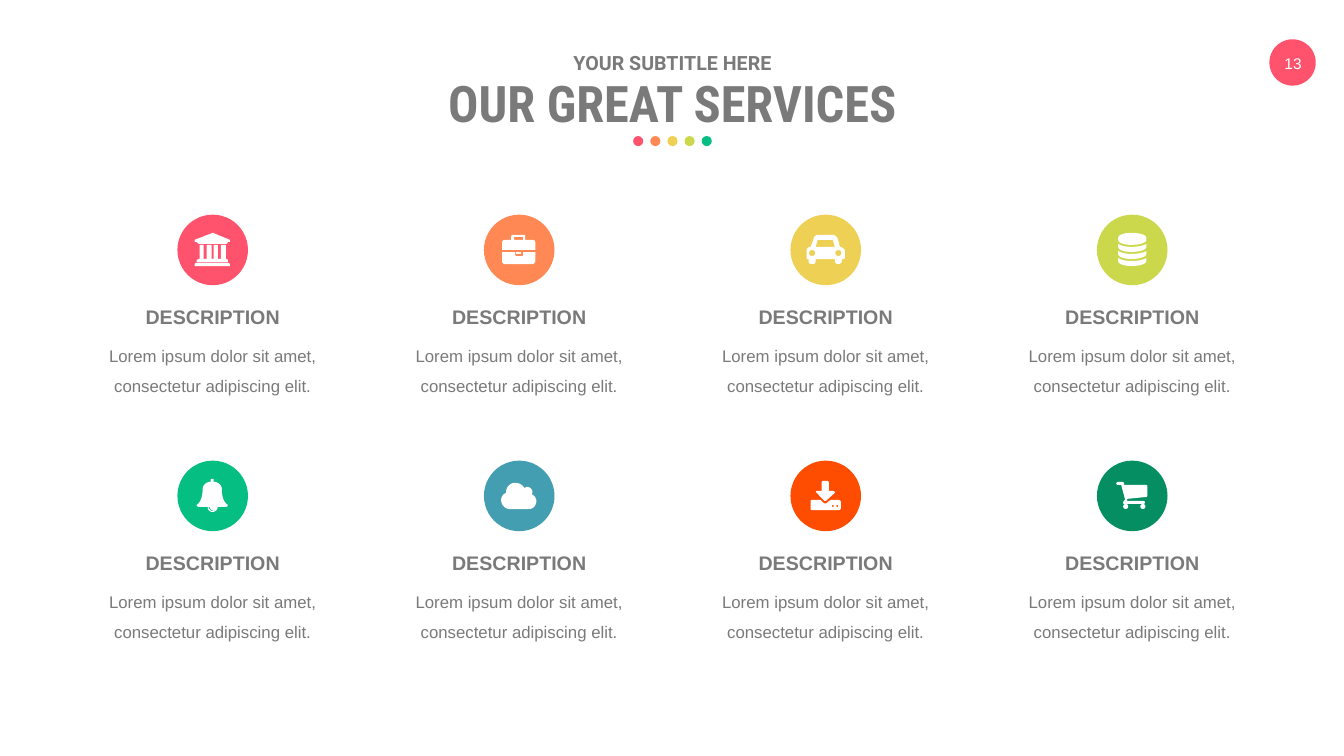
from dataclasses import dataclass
from math import cos, pi, sin

from pptx import Presentation
from pptx.dml.color import RGBColor
from pptx.enum.shapes import MSO_SHAPE
from pptx.enum.text import MSO_ANCHOR, MSO_AUTO_SIZE, PP_ALIGN
from pptx.util import Inches, Pt

WHITE = RGBColor(0xFF, 0xFF, 0xFF)
GRAY = RGBColor(0x7A, 0x7A, 0x7A)
PINK = RGBColor(0xFF, 0x52, 0x6D)
ORANGE = RGBColor(0xFF, 0x88, 0x54)
YELLOW = RGBColor(0xEE, 0xD0, 0x54)
LIME = RGBColor(0xCB, 0xD8, 0x4C)
GREEN = RGBColor(0x05, 0xBE, 0x82)
BLUE = RGBColor(0x43, 0x9E, 0xB1)
RED = RGBColor(0xFE, 0x4D, 0x00)
DARK_GREEN = RGBColor(0x04, 0x8E, 0x61)

HEADING = "DESCRIPTION"
BODY = "Lorem ipsum dolor sit amet, consectetur adipiscing elit."

# An outline is a list of steps: two numbers end a line, six end a Bezier curve
Outline = list[tuple[float, ...]]


@dataclass
class Style:
    size: float
    font: str = "Arial"
    color: RGBColor = GRAY
    bold: bool = False
    spacing: float = 1.0
    anchor: MSO_ANCHOR = MSO_ANCHOR.TOP


@dataclass
class Service:
    color: RGBColor
    icon: list[Outline]


def box(left: float, top: float, right: float, bottom: float) -> Outline:
    return [(left, top), (right, top), (right, bottom), (left, bottom)]


def ring(x: float, y: float, radius: float) -> Outline:
    angles = [2 * pi * step / 24 for step in range(24)]
    return [(x + radius * cos(a), y + radius * sin(a)) for a in angles]


def disk_band(y: float) -> Outline:
    return [(49, y), (49, y + 3), (49, y + 6, 42, y + 8, 34, y + 8),
            (27, y + 8, 21, y + 6, 21, y + 3), (21, y),
            (24, y + 2, 29, y + 3, 34, y + 3), (40, y + 3, 46, y + 2, 49, y)]


# Icons, in hundredths of an inch from the corner of the badge
BANK = [
    [(52, 25), (52, 27), (50, 27), (49, 29), (21, 29), (19, 27), (17, 27), (17, 25), (35, 18)],
    [(52, 49), (52, 51), (17, 51), (17, 49), (18, 48), (51, 48)],
    [(26, 30), (26, 44), (29, 44), (29, 30), (34, 30), (34, 44), (36, 44), (36, 30),
     (40, 30), (40, 44), (43, 44), (43, 30), (48, 30), (48, 44), (49, 44), (50, 45),
     (50, 47), (19, 47), (19, 45), (21, 44), (22, 44), (22, 30)],
]
BRIEFCASE = [
    [(51, 35), (18, 35), (18, 28), (18, 26, 19, 25, 21, 25), (27, 25), (27, 22),
     (27, 21, 28, 20, 29, 20), (40, 20), (41, 20, 41, 21, 41, 22), (41, 25), (48, 25),
     (50, 25, 51, 26, 51, 28)],
    [(51, 46), (51, 47, 50, 49, 48, 49), (21, 49), (19, 49, 18, 47, 18, 46), (18, 37),
     (31, 37), (31, 40), (32, 41), (37, 41), (38, 41, 39, 41, 39, 40), (39, 37), (51, 37)],
    box(30, 22, 39, 25),
    box(32, 37, 37, 39),
]
CAR = [
    [(54, 43), (53, 44), (51, 44), (51, 46), (51, 48, 49, 49, 47, 49),
     (46, 49, 44, 48, 44, 46), (44, 44), (25, 44), (25, 46), (25, 48, 24, 49, 22, 49),
     (19, 49, 18, 48, 18, 46), (18, 44), (16, 44), (16, 36), (16, 34, 17, 32, 20, 32),
     (23, 24), (23, 22, 25, 20, 28, 20), (42, 20), (44, 20, 46, 22, 47, 24), (49, 32),
     (51, 32, 54, 34, 54, 36)],
    [(44, 32), (42, 25), (27, 25), (25, 32)],
    ring(21.5, 38, 3),
    ring(47.5, 38, 3),
]
DATABASE = [
    [(49, 23), (49, 25), (49, 28, 42, 30, 34, 30), (27, 30, 21, 28, 21, 25), (21, 23),
     (21, 20, 27, 18, 34, 18), (42, 18, 49, 20, 49, 23)],
    *[disk_band(y) for y in (29, 36, 43)],
]
BELL = [
    [(48, 46), (40, 46), (40, 49, 37, 51, 35, 51), (32, 51, 30, 49, 30, 46), (22, 46),
     (20, 46, 19, 45, 19, 44), (22, 42, 25, 38, 25, 28), (25, 25, 28, 21, 33, 21),
     (33, 19), (33, 18, 34, 18, 35, 18), (36, 18, 36, 18, 36, 19), (36, 21),
     (41, 21, 44, 25, 44, 28), (44, 38, 47, 42, 50, 44), (50, 45, 49, 46, 48, 46)],
    [(35, 49), (33, 49, 32, 47, 32, 46), (31, 46), (31, 48, 33, 50, 35, 50)],
]
CLOUD = [
    [(45, 48), (25, 48), (21, 48, 17, 44, 17, 39), (17, 36, 19, 33, 22, 32), (22, 31),
     (22, 26, 26, 22, 31, 22), (35, 22, 38, 24, 40, 27), (41, 27, 42, 26, 43, 26),
     (45, 26, 48, 28, 48, 31), (48, 32, 48, 33, 47, 33), (50, 35, 52, 37, 52, 40),
     (52, 44, 49, 48, 45, 48)],
]
DOWNLOAD = [
    [(50, 47), (50, 48, 49, 49, 48, 49), (21, 49), (20, 49, 20, 48, 20, 47), (20, 41),
     (20, 40, 20, 39, 21, 39), (30, 39), (32, 41), (33, 43, 36, 43, 37, 41), (40, 39),
     (48, 39), (49, 39, 50, 40, 50, 41)],
    [(44, 32), (35, 40), (34, 40), (26, 32), (25, 31), (26, 30), (31, 30), (31, 21),
     (32, 20), (37, 20), (38, 21), (38, 30), (43, 30), (44, 31)],
    ring(42, 45, 1),
    ring(46.5, 45, 1),
]
CART = [
    [(50, 35), (49, 36), (30, 38), (30, 40), (46, 40), (48, 40, 48, 43, 46, 43), (28, 43),
     (27, 43, 26, 43, 26, 42), (26, 41, 27, 39, 28, 39), (24, 24), (20, 24), (19, 23),
     (20, 21), (25, 21), (27, 21, 27, 23, 27, 24), (49, 24), (50, 25)],
    ring(28.5, 45.5, 2.5),
    ring(45.5, 45.5, 2.5),
]
SERVICES = [
    Service(PINK, BANK), Service(ORANGE, BRIEFCASE), Service(YELLOW, CAR),
    Service(LIME, DATABASE), Service(GREEN, BELL), Service(BLUE, CLOUD),
    Service(RED, DOWNLOAD), Service(DARK_GREEN, CART),
]


def fill_plain(shape, color: RGBColor) -> None:
    shape.shadow.inherit = False
    shape.fill.solid()
    shape.fill.fore_color.rgb = color
    shape.line.fill.background()


def add_circle(shapes, left: float, top: float, size: float, color: RGBColor) -> None:
    circle = shapes.add_shape(MSO_SHAPE.OVAL, Inches(left), Inches(top), Inches(size), Inches(size))
    fill_plain(circle, color)


def add_text(shapes, text: str, left: float, top: float, width: float, height: float,
             style: Style) -> None:
    frame = shapes.add_textbox(Inches(left), Inches(top), Inches(width), Inches(height)).text_frame
    frame.word_wrap = True
    frame.auto_size = MSO_AUTO_SIZE.SHAPE_TO_FIT_TEXT
    frame.vertical_anchor = style.anchor
    para = frame.paragraphs[0]
    para.text = text
    para.alignment = PP_ALIGN.CENTER
    para.line_spacing = style.spacing
    font = para.runs[0].font
    font.name, font.size, font.bold = style.font, Pt(style.size), style.bold
    font.color.rgb = style.color


def flatten(outline: Outline) -> list[tuple[float, float]]:
    points = [outline[0]]
    for step in outline[1:]:
        if len(step) == 2:
            points.append(step)
            continue
        curve = [points[-1], step[:2], step[2:4], step[4:]]
        for t in (n / 8 for n in range(1, 9)):
            weights = ((1 - t) ** 3, 3 * t * (1 - t) ** 2, 3 * t * t * (1 - t), t ** 3)
            points.append(tuple(sum(w * p[axis] for w, p in zip(weights, curve))
                                for axis in (0, 1)))
    return points


def add_icon(shapes, left: float, top: float, icon: list[Outline]) -> None:
    builder = None
    for outline in icon:
        points = [(Inches(left + x / 100), Inches(top + y / 100)) for x, y in flatten(outline)]
        if builder is None:
            builder = shapes.build_freeform(*points[0])
        else:
            builder.move_to(*points[0])
        builder.add_line_segments(points[1:], close=True)
    fill_plain(builder.convert_to_shape(), WHITE)


def add_service(page, left: float, top: float, service: Service) -> None:
    shapes = page.shapes.add_group_shape().shapes
    add_text(shapes, HEADING, left, top + 0.85, 2.38, 0.34, Style(14, bold=True))
    add_text(shapes, BODY, left, top + 1.15, 2.38, 0.71, Style(12, spacing=1.5))
    add_circle(shapes, left + 0.84, top, 0.7, service.color)
    add_icon(shapes, left + 0.84, top, service.icon)


def main() -> None:
    deck = Presentation()
    deck.slide_width, deck.slide_height = Inches(13.33), Inches(7.5)
    page = deck.slides.add_slide(deck.slide_layouts[6])

    # Page number
    add_circle(page.shapes, 12.59, 0.39, 0.46, PINK)
    add_text(page.shapes, "13", 12.38, 0.48, 0.89, 0.29,
             Style(11, color=WHITE, anchor=MSO_ANCHOR.MIDDLE))

    # Title, subtitle and row of dots
    add_text(page.shapes, "OUR GREAT SERVICES", 0.92, 0.67, 11.5, 0.71,
             Style(36, "Roboto Condensed", bold=True))
    add_text(page.shapes, "YOUR SUBTITLE HERE", 0.92, 0.46, 11.5, 0.34,
             Style(14, "Roboto", bold=True))
    dots = page.shapes.add_group_shape().shapes
    for index, color in enumerate((PINK, ORANGE, YELLOW, LIME, GREEN)):
        add_circle(dots, 6.28 + 0.17 * index, 1.35, 0.1, color)

    # Two rows of four services
    for index, service in enumerate(SERVICES):
        row, column = divmod(index, 4)
        add_service(page, 0.92 + 3.04 * column, 2.13 + 2.44 * row, service)

    deck.save("out.pptx")


if __name__ == "__main__":
    main()
